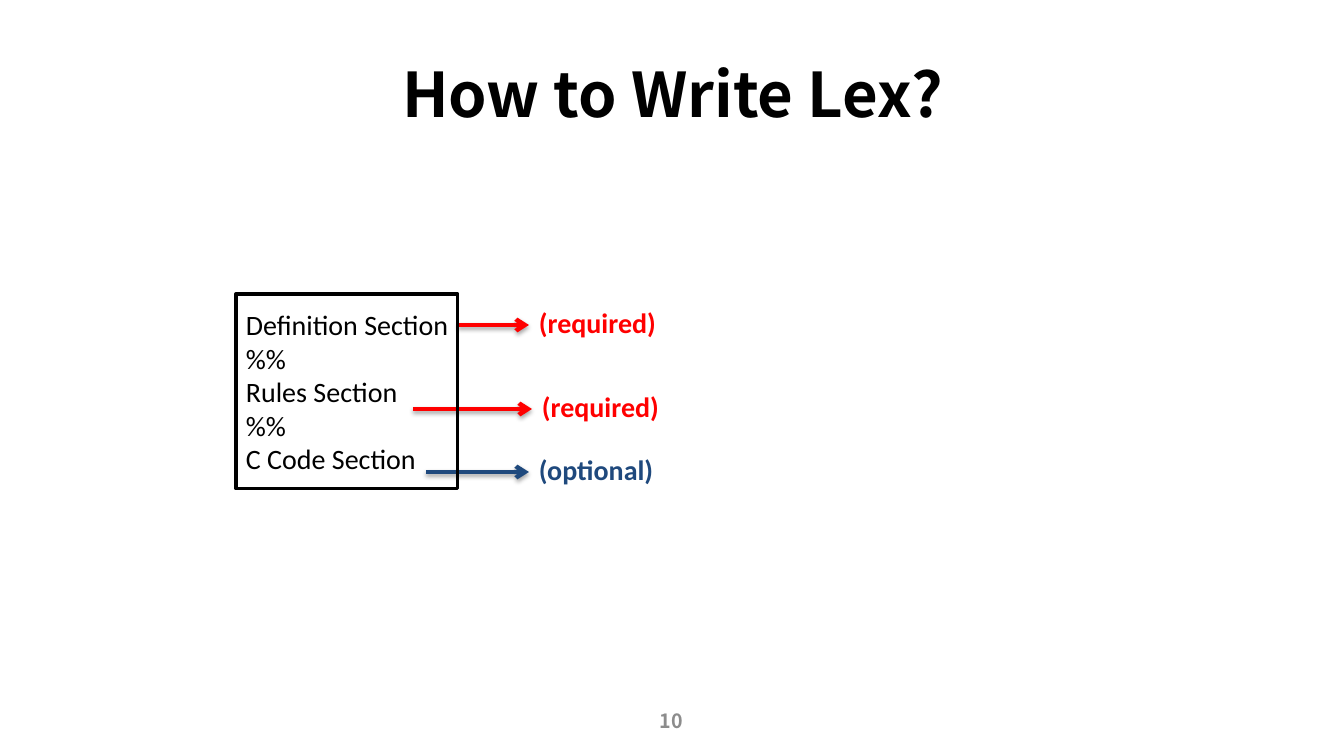
from dataclasses import dataclass

from pptx import Presentation
from pptx.dml.color import RGBColor
from pptx.enum.shapes import MSO_CONNECTOR, MSO_SHAPE
from pptx.enum.text import MSO_ANCHOR, PP_ALIGN
from pptx.oxml import parse_xml
from pptx.oxml.ns import nsdecls
from pptx.util import Emu, Pt

EMU_PER_PX = 914400 / 100.8


@dataclass(frozen=True)
class Theme:
    heading_font: str = "Noto Sans CJK SC"
    body_font: str = "Calibri"
    black: RGBColor = RGBColor(0x00, 0x00, 0x00)
    red: RGBColor = RGBColor(0xFF, 0x00, 0x00)
    navy: RGBColor = RGBColor(0x1F, 0x49, 0x7D)
    grey: RGBColor = RGBColor(0x8C, 0x8C, 0x8C)
    title_size: Pt = Pt(44)
    body_size: Pt = Pt(20)
    number_size: Pt = Pt(14)
    frame_width: Pt = Pt(2.25)
    arrow_width: Pt = Pt(3)


THEME = Theme()


@dataclass(frozen=True)
class Note:
    text: str
    color: RGBColor
    left: int
    top: int
    arrow_start: int


SECTIONS = ["Definition Section", "%%", "Rules Section", "%%", "C Code Section"]
NOTES = [
    Note("(required)", THEME.red, 529, 301, 458),
    Note("(required)", THEME.red, 532, 385, 413),
    Note("(optional)", THEME.navy, 529, 448, 426),
]
NOTE_WIDTH, NOTE_HEIGHT = 151, 48

BODY_FORMAT = {"name": THEME.body_font, "size": THEME.body_size, "bold": False}
NOTE_FORMAT = BODY_FORMAT | {"bold": True}
TITLE_FORMAT = {"name": THEME.heading_font, "size": THEME.title_size, "bold": True}
NUMBER_FORMAT = TITLE_FORMAT | {"size": THEME.number_size}


def px(*lengths: int) -> list[Emu]:
    return [Emu(round(length * EMU_PER_PX)) for length in lengths]


def write(box, lines: list[str], text_format: dict, color: RGBColor,
          align=PP_ALIGN.LEFT, anchor=MSO_ANCHOR.MIDDLE) -> None:
    frame = box.text_frame
    frame.word_wrap = True
    frame.vertical_anchor = anchor
    for index, line in enumerate(lines):
        para = frame.add_paragraph() if index else frame.paragraphs[0]
        para.alignment = align
        span = para.add_run()
        span.text = line
        for name, value in text_format.items():
            setattr(span.font, name, value)
        span.font.color.rgb = color


def add_arrow(page, note: Note, label) -> None:
    middle = note.top + NOTE_HEIGHT // 2
    arrow = page.shapes.add_connector(
        MSO_CONNECTOR.STRAIGHT, *px(note.arrow_start, middle, note.left, middle))
    arrow.end_connect(label, 1)
    arrow.line.color.rgb = note.color
    arrow.line.width = THEME.arrow_width
    # Arrowhead and soft shadow
    arrow.line._get_or_add_ln().append(
        parse_xml(f'<a:tailEnd {nsdecls("a")} type="arrow"/>'))
    arrow._element.spPr.append(parse_xml(
        f'<a:effectLst {nsdecls("a")}>'
        '<a:outerShdw blurRad="40000" dist="23000" dir="5400000" rotWithShape="0">'
        '<a:srgbClr val="000000"><a:alpha val="35000"/></a:srgbClr>'
        '</a:outerShdw></a:effectLst>'))


def add_note(page, note: Note) -> None:
    label = page.shapes.add_textbox(*px(note.left, note.top, NOTE_WIDTH, NOTE_HEIGHT))
    write(label, [note.text], NOTE_FORMAT, note.color, anchor=MSO_ANCHOR.TOP)
    add_arrow(page, note, label)


def add_section_box(page) -> None:
    box = page.shapes.add_shape(MSO_SHAPE.RECTANGLE, *px(236, 294, 222, 195))
    box.shadow.inherit = False
    box.fill.background()
    box.line.color.rgb = THEME.black
    box.line.width = THEME.frame_width
    write(box, SECTIONS, BODY_FORMAT, THEME.black)
    # The longest line needs the full width to stay on one line
    box.text_frame.margin_right = 0


def main() -> None:
    deck = Presentation()
    deck.slide_width, deck.slide_height = px(1344, 756)
    page = deck.slides.add_slide(deck.slide_layouts[5])

    # Title
    title = page.shapes.title
    title.left, title.top, title.width, title.height = px(68, 30, 1210, 126)
    write(title, ["How to Write Lex?"], TITLE_FORMAT, THEME.black, PP_ALIGN.CENTER)

    # File structure and its notes
    for note in NOTES:
        add_note(page, note)
    add_section_box(page)

    # Page number
    number = page.shapes.add_textbox(*px(515, 701, 313, 40))
    write(number, ["10"], NUMBER_FORMAT, THEME.grey, PP_ALIGN.CENTER)

    deck.save("out.pptx")


if __name__ == "__main__":
    main()
